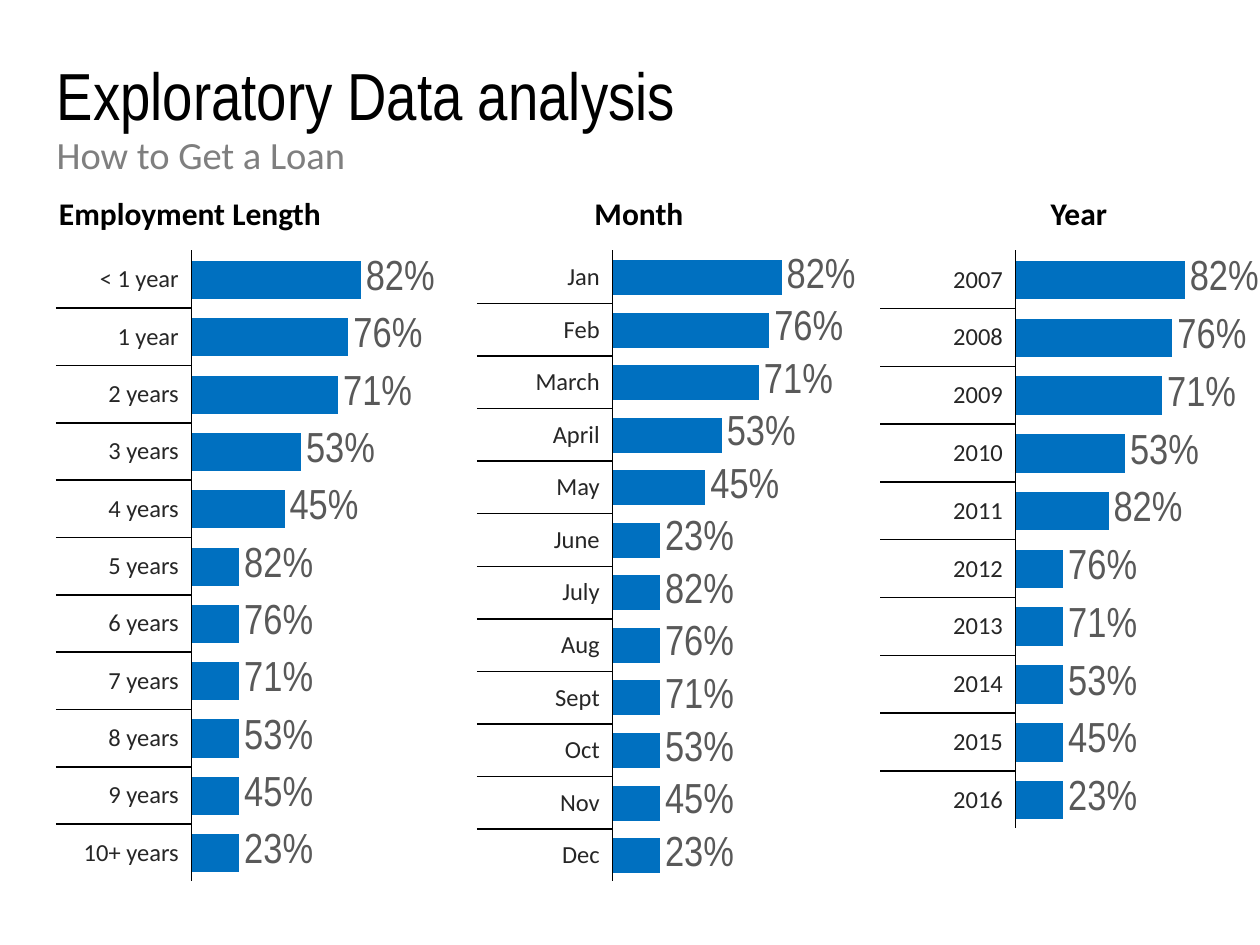
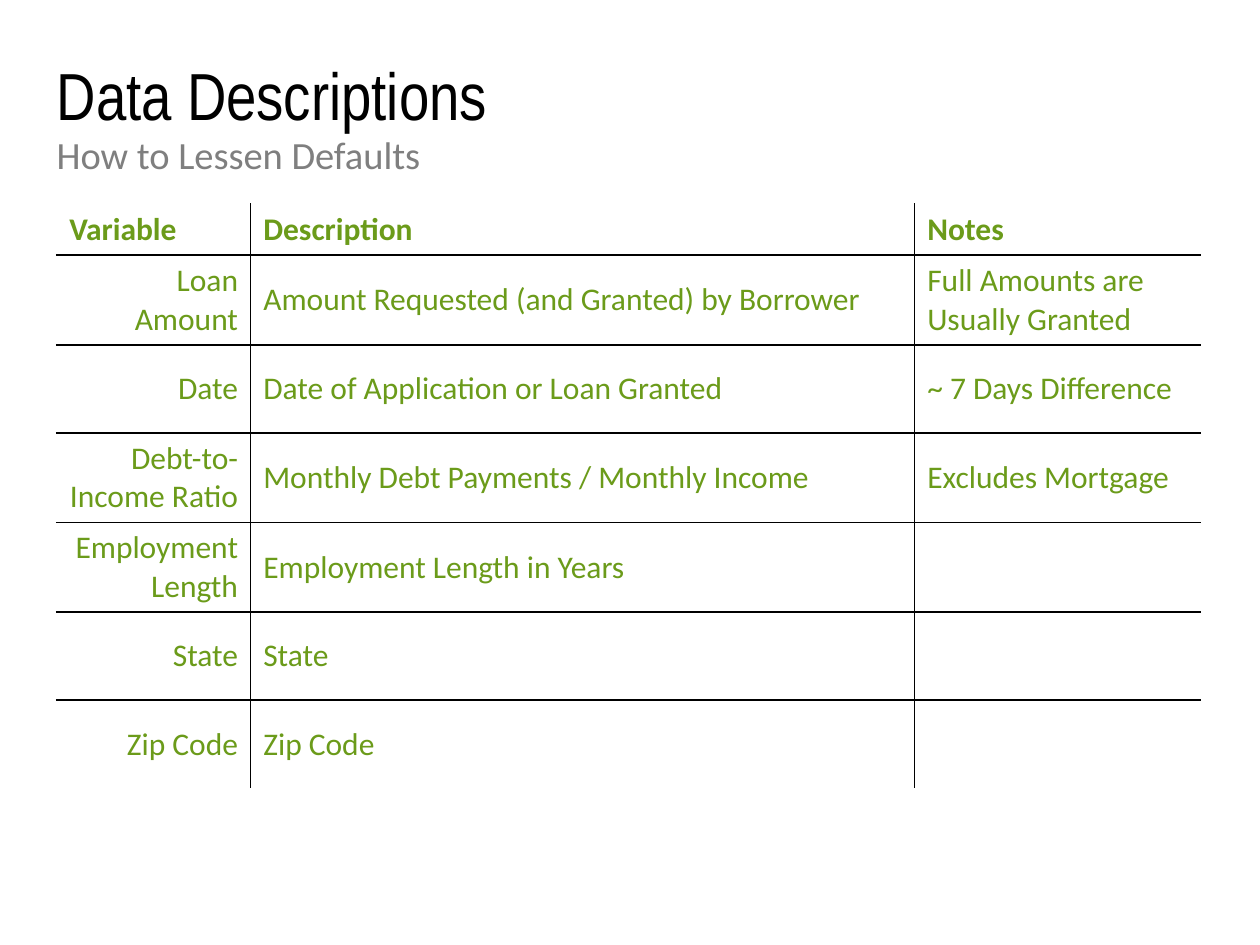
import pptx
import pptx.chart.data
import pptx.dml.color
import pptx.enum.chart
import pptx.enum.text
import pptx.oxml
import pptx.oxml.ns
import pptx.util
from lxml import etree

Pt = pptx.util.Pt
ALIGN = pptx.enum.text.PP_ALIGN
ANCHOR = pptx.enum.text.MSO_ANCHOR

BLACK = "000000"
SUBTITLE_GREY = "7F7F7F"
LABEL_GREY = "595959"
ROW_GREY = "262626"
BAR_BLUE = "0070C0"
TABLE_GREEN = "6B9B1A"
HEAD_FONT = "Arial Narrow"
BODY_FONT = "Calibri"

HEADER_BOX = (32.4, 32.4, 655.2, 84.24)
TOP_RATES = [0.45, 0.53, 0.71, 0.76, 0.82]
LOWEST_RATE = 0.23
FIXED_LABELS = ["23%", "45%", "53%", "71%", "76%", "82%"]

EMPLOYMENT = ["< 1 year", "1 year"] + [f"{n} years" for n in range(2, 10)] + ["10+ years"]
MONTHS = ["Jan", "Feb", "March", "April", "May", "June",
          "July", "Aug", "Sept", "Oct", "Nov", "Dec"]
YEARS = [str(year) for year in range(2007, 2017)]

BREAKDOWNS = [
    ("Employment Length", -5.76, EMPLOYMENT, (32.4, 107.28, 289.44, 396.72)),
    ("Month", 59.76, MONTHS, (272.88, 107.28, 289.44, 396.72)),
    ("Year", 90, YEARS, (503.28, 107.28, 289.44, 366.48)),
]

VARIABLES = [
    ("Variable", "Description", "Notes"),
    ("Loan Amount", "Amount Requested (and Granted) by Borrower",
     "Full Amounts are Usually Granted"),
    ("Date", "Date of Application or Loan Granted", "~ 7 Days Difference"),
    ("Debt-to-Income Ratio", "Monthly Debt Payments / Monthly Income", "Excludes Mortgage"),
    ("Employment Length", "Employment Length in Years", ""),
    ("State", "State", ""),
    ("Zip Code", "Zip Code", ""),
]


def rgb(hex_color):
    return pptx.dml.color.RGBColor.from_string(hex_color)


def points(*lengths):
    return [Pt(length) for length in lengths]


def style_font(font, size, color, name=BODY_FONT, bold=False):
    font.size = Pt(size)
    font.color.rgb = rgb(color)
    font.name = name
    font.bold = bold


def fill_placeholder(placeholder, text, box, size, color, name):
    placeholder.left, placeholder.top, placeholder.width, placeholder.height = points(*box)
    frame = placeholder.text_frame
    frame.text = text
    frame.margin_left = 0
    frame.vertical_anchor = ANCHOR.TOP
    frame.auto_size = pptx.enum.text.MSO_AUTO_SIZE.NONE
    line = frame.paragraphs[0]
    line.alignment = ALIGN.LEFT
    line.line_spacing = 0.9
    line.space_before = 0
    style_font(line.font, size, color, name)
    properties = line._p.get_or_add_pPr()
    properties.set("marL", "0")
    properties.set("indent", "0")
    no_bullet = pptx.oxml.parse_xml(f'<a:buNone {pptx.oxml.ns.nsdecls("a")}/>')
    properties.insert_element_before(no_bullet, "a:tabLst", "a:defRPr", "a:extLst")


def add_header(slide, title, subtitle, box):
    left, top, width, height = box
    fill_placeholder(slide.shapes.title, title, box, 38, BLACK, HEAD_FONT)
    fill_placeholder(slide.placeholders[1], subtitle,
                     (left, top + height / 2, width, height / 2), 22, SUBTITLE_GREY, BODY_FONT)


def draw_borders(cell, edges):
    properties = cell._tc.get_or_add_tcPr()
    for position, edge in enumerate(e for e in "LRTB" if e in edges):
        properties.insert(position, pptx.oxml.parse_xml(
            f'<a:ln{edge} {pptx.oxml.ns.nsdecls("a")} w="12700"><a:solidFill>'
            f'<a:srgbClr val="{BLACK}"/></a:solidFill></a:ln{edge}>'))


def write_cell(cell, text, edges, size, color, bold=False,
               align=ALIGN.LEFT, anchor=ANCHOR.MIDDLE):
    cell.text = text
    cell.vertical_anchor = anchor
    cell.fill.background()
    line = cell.text_frame.paragraphs[0]
    line.alignment = align
    style_font(line.font, size, color, bold=bold)
    draw_borders(cell, edges)


def add_plain_table(slide, box, row_count, column_count):
    table = slide.shapes.add_table(row_count, column_count, *points(*box)).table
    table.first_row = table.horz_banding = False
    return table


def inner_edges(row, row_count):
    return ("T" if row else "") + ("B" if row < row_count - 1 else "")


def set_plot_area(chart):
    plot_area = chart._chartSpace.chart.plotArea
    for old_layout in plot_area.findall(pptx.oxml.ns.qn("c:layout")):
        plot_area.remove(old_layout)
    layout = etree.Element(pptx.oxml.ns.qn("c:layout"))
    manual = etree.SubElement(layout, pptx.oxml.ns.qn("c:manualLayout"))
    settings = [("layoutTarget", "inner"), ("xMode", "edge"), ("yMode", "edge"),
                ("x", "0.001"), ("y", "0.001"), ("w", "0.499"), ("h", "0.999")]
    for tag, value in settings:
        etree.SubElement(manual, pptx.oxml.ns.qn(f"c:{tag}")).set("val", value)
    plot_area.insert(0, layout)


def add_rate_chart(slide, box, bar_count):
    data = pptx.chart.data.CategoryChartData(number_format="0%")
    data.categories = [str(n + 1) for n in range(bar_count)]
    data.add_series("Series 1", [LOWEST_RATE] * (bar_count - len(TOP_RATES)) + TOP_RATES)
    chart = slide.shapes.add_chart(
        pptx.enum.chart.XL_CHART_TYPE.BAR_CLUSTERED, *points(*box), data).chart
    chart.has_legend = chart.has_title = False
    style_font(chart.font, 18, BLACK)
    for axis in (chart.category_axis, chart.value_axis):
        axis.visible = False
        axis.has_major_gridlines = False
    chart.value_axis.minimum_scale = 0
    chart.value_axis.maximum_scale = 0.9
    plot = chart.plots[0]
    plot.gap_width = 50
    plot.vary_by_categories = False
    rates = plot.series[0]
    rates.format.fill.solid()
    rates.format.fill.fore_color.rgb = rgb(BAR_BLUE)
    outside = pptx.enum.chart.XL_LABEL_POSITION.OUTSIDE_END
    labels = rates.data_labels
    labels.show_value = True
    labels.number_format = "0%"
    labels.number_format_is_linked = False
    labels.position = outside
    style_font(labels.font, 24, LABEL_GREY, HEAD_FONT)
    for index, text in enumerate(FIXED_LABELS):
        label = rates.points[index].data_label
        label.text_frame.text = text
        style_font(label.text_frame.paragraphs[0].runs[0].font, 24, LABEL_GREY, HEAD_FONT)
        label.position = outside
    set_plot_area(chart)


def add_breakdown(slide, heading, heading_offset, categories, box):
    left, top, width, height = box
    names_width, heading_height = 77.04, 36
    body_top, body_height = top + heading_height, height - heading_height

    caption = slide.shapes.add_textbox(*points(left + heading_offset, top, 225, 28.8))
    caption.text_frame.word_wrap = True
    caption.text_frame.text = heading
    style_font(caption.text_frame.paragraphs[0].font, 18, BLACK, bold=True)

    add_rate_chart(slide, (left + names_width, body_top, width - names_width, body_height),
                   len(categories))
    count = len(categories)
    names = add_plain_table(slide, (left, body_top, names_width, body_height), count, 1)
    for row, name in enumerate(categories):
        names.rows[row].height = Pt(body_height / count)
        write_cell(names.cell(row, 0), name, "R" + inner_edges(row, count),
                   14, ROW_GREY, align=ALIGN.RIGHT)


def add_variable_table(slide, box):
    count = len(VARIABLES)
    table = add_plain_table(slide, box, count, 3)
    for column, width in zip(table.columns, (110.88, 379.44, 163.44)):
        column.width = Pt(width)
    header_height = 28.8
    row_height = (box[3] - header_height) / (count - 1)
    for row, entries in enumerate(VARIABLES):
        is_header = row == 0
        table.rows[row].height = Pt(header_height if is_header else row_height)
        for column, text in enumerate(entries):
            write_cell(table.cell(row, column), text,
                       ("R", "LR", "L")[column] + inner_edges(row, count),
                       18, TABLE_GREEN, bold=is_header,
                       align=ALIGN.RIGHT if column == 0 and not is_header else ALIGN.LEFT,
                       anchor=ANCHOR.BOTTOM if is_header else ANCHOR.MIDDLE)


def add_content_slide(deck, title, subtitle):
    slide = deck.slides.add_slide(deck.slide_layouts[1])
    add_header(slide, title, subtitle, HEADER_BOX)
    return slide


def main():
    deck = pptx.Presentation()
    deck.slide_width, deck.slide_height = points(720, 540)

    analysis = add_content_slide(deck, "Exploratory Data analysis", "How to Get a Loan")
    for breakdown in BREAKDOWNS:
        add_breakdown(analysis, *breakdown)

    descriptions = add_content_slide(deck, "Data Descriptions", "How to Lessen Defaults")
    add_variable_table(descriptions, (32.4, 116.64, 653.76, 331.2))

    deck.save("out.pptx")


if __name__ == "__main__":
    main()
